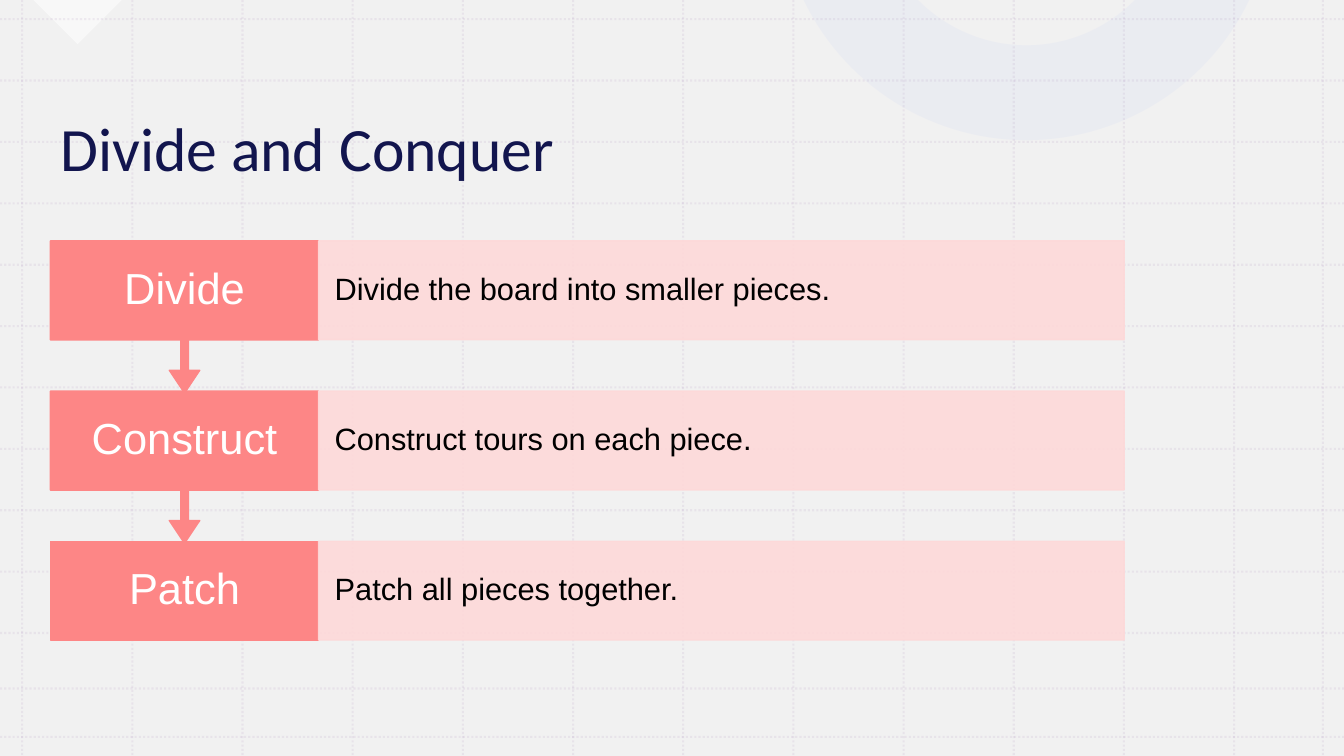
"""Build the "Divide and Conquer" slide with three steps joined by arrows."""
import math

from pptx import Presentation, util as u
from pptx.dml.color import RGBColor
from pptx.enum import dml, shapes, text
from pptx.oxml import ns, xmlchemy


def paint(shape, color, line=False, alpha=100):
    if line:
        shape.line.color.rgb = RGBColor.from_string(color)
    else:
        shape.line.fill.background()
    shape.fill.solid()
    shape.fill.fore_color.rgb = RGBColor.from_string(color)
    shape.shadow.inherit = False
    if alpha < 100:
        for node in shape._element.spPr.iter(ns.qn("a:srgbClr")):
            xmlchemy.OxmlElement("a:alpha")
            node.append(xmlchemy.OxmlElement("a:alpha"))
            node[-1].set("val", str(alpha * 1000))


def write(box, words, size, color, font, align, anchor, side, edge):
    frame = box.text_frame
    frame.text = words
    frame.word_wrap = True
    frame.vertical_anchor = anchor
    frame.margin_left = frame.margin_right = u.Inches(side)
    frame.margin_top = frame.margin_bottom = u.Inches(edge)
    para = frame.paragraphs[0]
    para.alignment = align
    para.line_spacing = 0.9
    span = para.runs[0]
    span.font.size = u.Pt(size)
    span.font.name = font
    span.font.color.rgb = RGBColor.from_string(color)


WIDTH, HEIGHT = 13.33, 7.5
LEFT, MIDDLE = text.PP_ALIGN.LEFT, text.MSO_ANCHOR.MIDDLE
CORAL = "FD8686"

deck = Presentation()
deck.slide_width, deck.slide_height = u.Inches(WIDTH), u.Inches(HEIGHT)
page = deck.slides.add_slide(deck.slide_layouts[6])
page.background.fill.solid()
page.background.fill.fore_color.rgb = RGBColor.from_string("F1F1F1")

corner = page.shapes.add_shape(
    shapes.MSO_SHAPE.RIGHT_TRIANGLE,
    u.Inches(0.46), u.Inches(-0.31), u.Inches(0.62), u.Inches(0.62))
corner.rotation = 315
paint(corner, "FFFFFF", alpha=50)

ring_x, ring_y = 10.18, -1.06
outline = []
for radius, direction in ((2.45, 1), (1.51, -1)):
    reach = math.acos(-ring_y / radius) * direction
    for step in range(61):
        angle = reach * (1 - step / 30)
        outline.append((ring_x + radius * math.sin(angle),
                        ring_y + radius * math.cos(angle)))
points = [(u.Inches(x), u.Inches(y)) for x, y in outline]
builder = page.shapes.build_freeform(*points[0])
builder.add_line_segments(points[1:], close=True)
paint(builder.convert_to_shape(), "E9EBF1", alpha=80)

columns = [0.22 + (12.24 - 0.22) / 11 * i for i in range(12)] + [13.12]
rows = [0.19 + (6.28 - 0.19) / 10 * i for i in range(11)] + [6.83, 7.31]
grid = [(x, 0, x, HEIGHT) for x in columns] + [(0, y, WIDTH, y) for y in rows]
for ends in grid:
    rule = page.shapes.add_connector(
        shapes.MSO_CONNECTOR.STRAIGHT, *[u.Inches(end) for end in ends])
    rule.line.width = u.Pt(1.5)
    rule.line.color.rgb = RGBColor.from_string("B495C2")
    rule.line.dash_style = dml.MSO_LINE.ROUND_DOT
    properties = rule._element.spPr
    color = next(properties.iter(ns.qn("a:srgbClr")))
    color.append(xmlchemy.OxmlElement("a:alpha"))
    color[-1].set("val", "15000")
    properties.append(xmlchemy.OxmlElement("a:effectLst"))

title = page.shapes.add_textbox(
    u.Inches(0.5), u.Inches(0.8), u.Inches(11.76), u.Inches(1.08))
write(title, "Divide and Conquer", 44, "12154E", "Calibri",
      LEFT, text.MSO_ANCHOR.BOTTOM, 0.1, 0.05)

steps = [
    ("Divide", "Divide the board into smaller pieces."),
    ("Construct", "Construct tours on each piece."),
    ("Patch", "Patch all pieces together."),
]
left, label_width, detail_width = u.Inches(0.5), u.Inches(2.66), u.Inches(7.99)
row_height = u.Inches(0.98)
for index, (name, description) in enumerate(steps):
    top = u.Inches(2.39 + 1.49 * index)
    if index < len(steps) - 1:
        block = page.shapes.add_shape(
            shapes.MSO_SHAPE.UP_ARROW_CALLOUT,
            left, top, label_width, u.Inches(1.51))
        block.rotation = 180
        for position, value in enumerate((0.05, 0.1, 0.15, 0.65)):
            block.adjustments[position] = value
    else:
        block = page.shapes.add_shape(
            shapes.MSO_SHAPE.RECTANGLE, left, top, label_width, row_height)
    paint(block, CORAL, line=True)
    block.line.width = u.Pt(1)

    label = page.shapes.add_textbox(left, top, label_width, row_height)
    write(label, name, 31, "FFFFFF", "Arial",
          text.PP_ALIGN.CENTER, MIDDLE, 0.19, 0.24)

    detail = page.shapes.add_shape(
        shapes.MSO_SHAPE.RECTANGLE,
        left + label_width, top, detail_width, row_height)
    paint(detail, "FED9D9", line=True, alpha=90)
    detail.line.width = u.Pt(1)
    write(detail, description, 22, "000000", "Arial", LEFT, MIDDLE, 0.16, 0.31)

deck.save("out.pptx")
